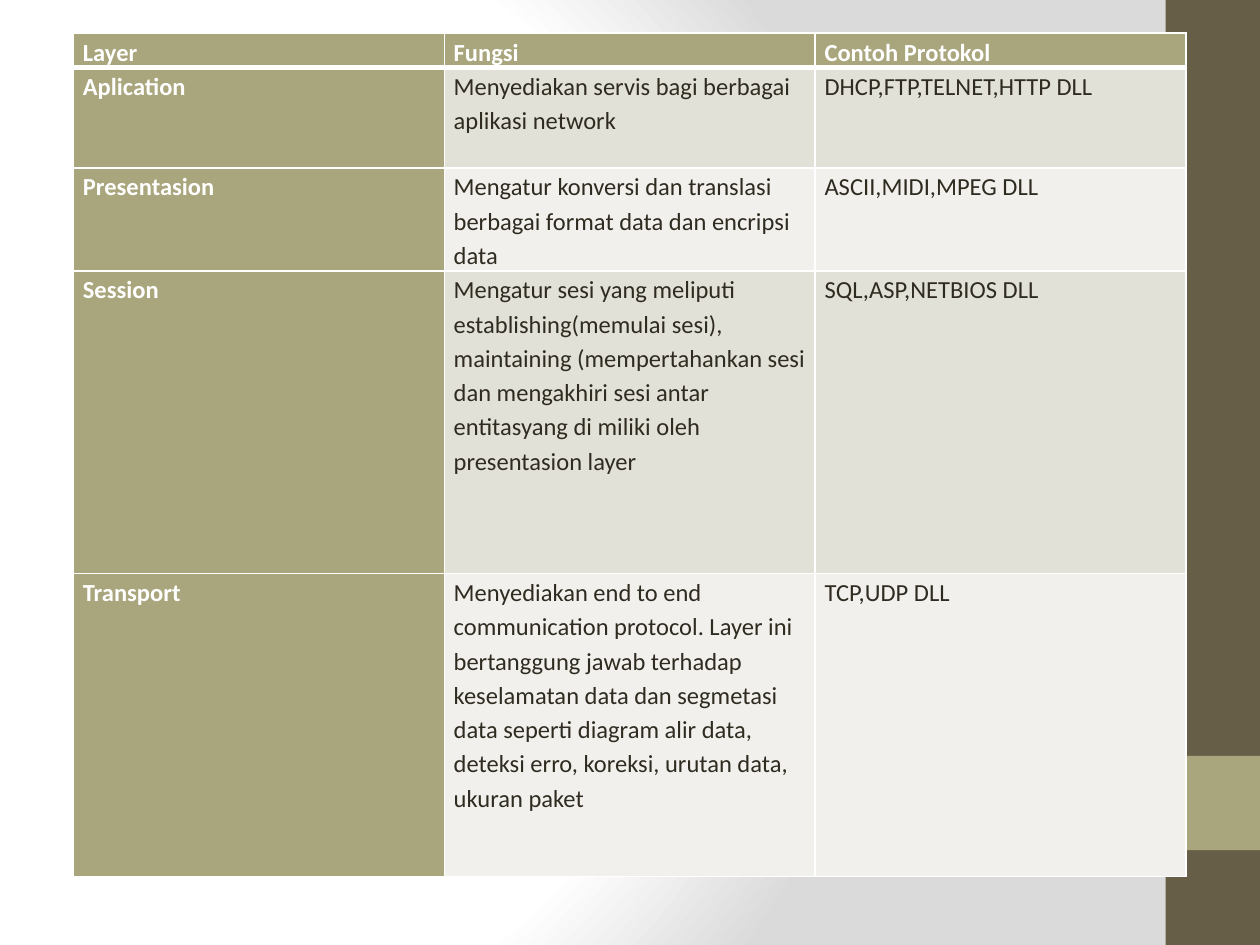
from lxml.etree import SubElement
from pptx import Presentation
from pptx.dml.color import RGBColor
from pptx.enum.shapes import MSO_SHAPE
from pptx.oxml.ns import qn
from pptx.util import Cm, Pt

WHITE, INK, OLIVE, BROWN = "FFFFFF", "2F2B20", "A9A57C", "675E47"
BANDS = ("E2E1D7", "F1F0EC")
ROW_HEIGHTS = (0.69, 2.03, 2.06, 6.1, 6.1)
LAYERS = (
    ("Layer", "Fungsi", "Contoh Protokol"),
    ("Aplication", "Menyediakan servis bagi berbagai aplikasi network",
     "DHCP,FTP,TELNET,HTTP DLL"),
    ("Presentasion",
     "Mengatur konversi dan translasi berbagai format data dan encripsi data",
     "ASCII,MIDI,MPEG DLL"),
    ("Session",
     "Mengatur sesi yang meliputi establishing(memulai sesi), maintaining "
     "(mempertahankan sesi dan mengakhiri sesi antar entitasyang di miliki "
     "oleh presentasion layer",
     "SQL,ASP,NETBIOS DLL"),
    ("Transport",
     "Menyediakan end to end communication protocol. Layer ini bertanggung "
     "jawab terhadap keselamatan data dan segmetasi data seperti diagram alir "
     "data, deteksi erro, koreksi, urutan data, ukuran paket",
     "TCP,UDP DLL"),
)


def colour(value):
    return RGBColor.from_string(value)


def paint_background(page):
    page.background.fill.gradient()
    gradient = page.element.find(".//" + qn("a:gradFill"))
    for child in list(gradient):
        gradient.remove(child)
    stops = SubElement(gradient, qn("a:gsLst"))
    for percent, value in ((0, WHITE), (75, WHITE), (100, "DADADA")):
        stop = SubElement(stops, qn("a:gs"), pos=str(percent * 1000))
        SubElement(stop, qn("a:srgbClr"), val=value)
    circle = SubElement(gradient, qn("a:path"), path="circle")
    SubElement(circle, qn("a:fillToRect"),
               l="20000", t="50000", r="100000", b="50000")


def add_block(page, left, top, width, height, value):
    block = page.shapes.add_shape(MSO_SHAPE.RECTANGLE, left, top, width, height)
    block.shadow.inherit = False
    block.fill.solid()
    block.fill.fore_color.rgb = colour(value)
    block.line.fill.background()


def add_sidebar(page, left, top, width, height):
    add_block(page, left, top, width, height, BROWN)
    add_block(page, left, top + int(height * 0.8), width, width, OLIVE)


def set_border(cell, side, points):
    properties = cell._tc.get_or_add_tcPr()
    line = SubElement(properties, qn("a:ln" + side), w=str(Pt(points)))
    fill = SubElement(line, qn("a:solidFill"))
    SubElement(fill, qn("a:srgbClr"), val=WHITE)


def fill_cell(cell, text, row, column):
    heading = row == 0 or column == 0
    heavy = {"T": row == 1, "B": row == 0}
    for side in "LRTB":
        set_border(cell, side, 3 if heavy.get(side) else 1)
    cell.fill.solid()
    cell.fill.fore_color.rgb = colour(OLIVE if heading else BANDS[(row - 1) % 2])
    cell.margin_left = cell.margin_right = Cm(0.19)
    cell.margin_top = cell.margin_bottom = 0
    para = cell.text_frame.paragraphs[0]
    para.line_spacing = 1.15
    span = para.add_run()
    span.text = text
    span.font.name = "Calibri"
    span.font.size = Pt(14)
    span.font.bold = heading
    span.font.color.rgb = colour(WHITE if heading else INK)


def add_layer_table(page, left, top, width):
    heights = [Cm(height) for height in ROW_HEIGHTS]
    columns = len(LAYERS[0])
    table = page.shapes.add_table(
        len(LAYERS), columns, left, top, width, sum(heights)).table
    for column in table.columns:
        column.width = int(width / columns)
    for row, texts in enumerate(LAYERS):
        table.rows[row].height = heights[row]
        for column, text in enumerate(texts):
            fill_cell(table.cell(row, column), text, row, column)


def main():
    deck = Presentation()
    deck.slide_width, deck.slide_height = Cm(25.4), Cm(19.05)
    page = deck.slides.add_slide(deck.slide_layouts[6])
    paint_background(page)
    add_sidebar(page, Cm(23.5), 0, Cm(1.9), deck.slide_height)
    add_layer_table(page, Cm(1.48), Cm(0.67), Cm(22.43))
    deck.save("out.pptx")


if __name__ == "__main__":
    main()
